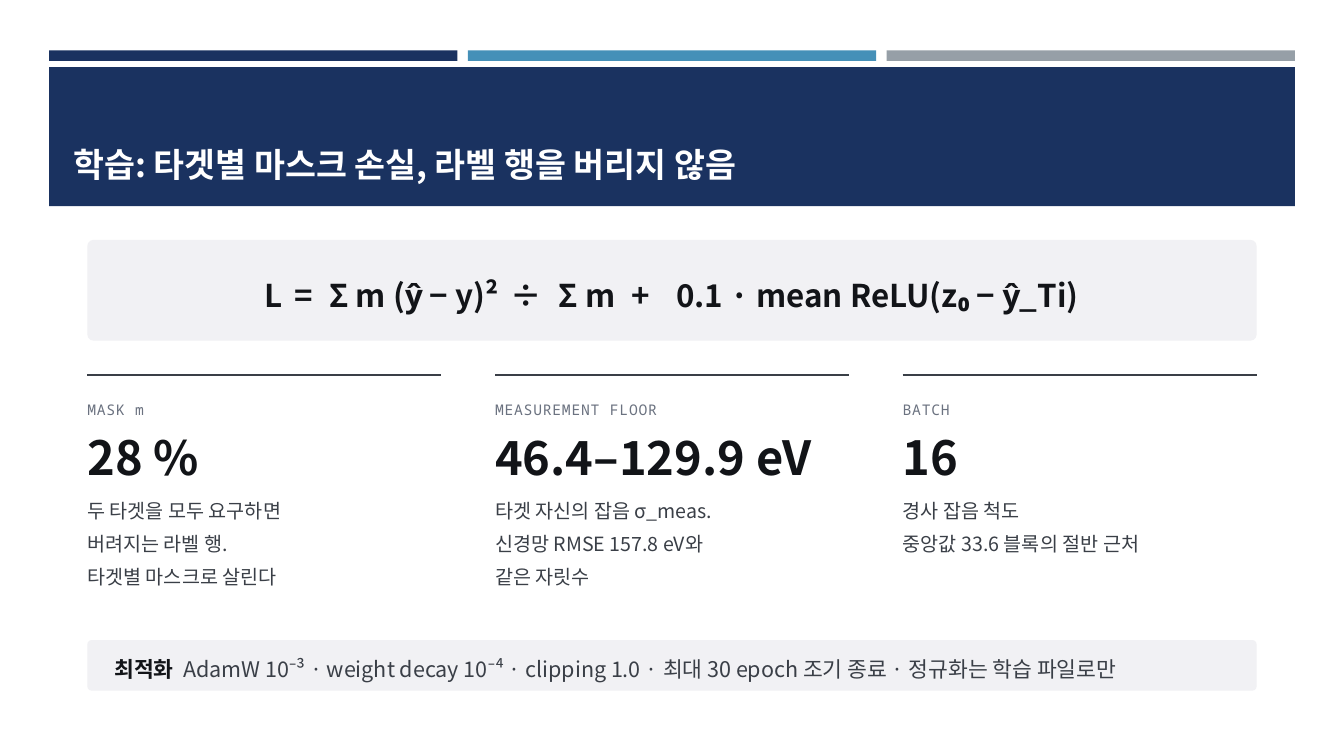
from lxml.etree import SubElement
from pptx import Presentation
from pptx.dml.color import RGBColor
from pptx.enum.shapes import MSO_CONNECTOR, MSO_SHAPE
from pptx.enum.text import MSO_ANCHOR, PP_ALIGN
from pptx.oxml.ns import qn
from pptx.util import Inches, Pt

SLIDE_W, SLIDE_H = Inches(13.333), Inches(7.5)
SANS, MONO = "Noto Sans CJK KR", "Noto Sans Mono"
NAVY, BLUE, GRAY, WHITE = "1A3260", "4590B8", "969FA7", "FFFFFF"
INK, BODY, MUTED, PANEL = "121418", "3A3F47", "6B7280", "F1F1F4"

HEADER_LEFT, HEADER_WIDTH, HEADER_GAP = 3.65, 92.7, 0.78
CONTENT_LEFT, CONTENT_WIDTH, CONTENT_GAP = 6.5, 87, 4

FORMULA = [
    ("L", 0), (" = ", 3.3), ("Σ m (ŷ − y)²", 0), (" ÷ ", 3.3), ("Σ m", 0),
    (" + ", 6.7), ("0.1 · mean ReLU(z₀ − ŷ_Ti)", 0),
]
FACTS = [
    ("MASK m", "28 %",
     ["두 타겟을 모두 요구하면", "버려지는 라벨 행.", "타겟별 마스크로 살린다"]),
    ("MEASUREMENT FLOOR", "46.4–129.9 eV",
     ["타겟 자신의 잡음 σ_meas.", "신경망 RMSE 157.8 eV와", "같은 자릿수"]),
    ("BATCH", "16", ["경사 잡음 척도", "중앙값 33.6 블록의 절반 근처"]),
]
OPTIMIZER = ("AdamW 10⁻³ · weight decay 10⁻⁴ · clipping 1.0 · "
             "최대 30 epoch 조기 종료 · 정규화는 학습 파일로만")


def color(hex_string):
    return RGBColor.from_string(hex_string)


def across(share):
    return round(SLIDE_W * share / 100)


def down(share):
    return round(SLIDE_H * share / 100)


def place(left, top, width, height):
    return across(left), down(top), across(width), down(height)


def thirds(left, width, gap):
    column = (width - 2 * gap) / 3
    return [(left + i * (column + gap), column) for i in range(3)]


def style_run(run, size, fill, bold=False, face=SANS, spacing=0):
    run.font.size = Pt(size)
    run.font.bold = bold
    run.font.color.rgb = color(fill)
    run.font.name = face
    properties = run.font._element
    SubElement(properties, qn("a:ea")).set("typeface", face)
    if spacing:
        properties.set("spc", str(round(spacing * 100)))


def add_block(slide, area, fill, corner=None):
    kind = MSO_SHAPE.RECTANGLE if corner is None else MSO_SHAPE.ROUNDED_RECTANGLE
    block = slide.shapes.add_shape(kind, *place(*area))
    if corner is not None:
        block.adjustments[0] = corner
    block.shadow.inherit = False
    block.fill.solid()
    block.fill.fore_color.rgb = color(fill)
    block.line.fill.background()


def add_frame(slide, area, anchor=MSO_ANCHOR.TOP, inset=(0, 0)):
    frame = slide.shapes.add_textbox(*place(*area)).text_frame
    frame.word_wrap = True
    frame.vertical_anchor = anchor
    frame.margin_left = frame.margin_right = Inches(inset[0])
    frame.margin_top = frame.margin_bottom = Inches(inset[1])
    return frame


def write_lines(frame, lines, leading=1.0, **style):
    frame.text = "\n".join(lines)
    for paragraph in frame.paragraphs:
        paragraph.line_spacing = leading
        for run in paragraph.runs:
            style_run(run, **style)


def write_spans(frame, spans, align=PP_ALIGN.LEFT):
    paragraph = frame.paragraphs[0]
    paragraph.alignment = align
    paragraph.line_spacing = 1.25
    for words, style in spans:
        run = paragraph.add_run()
        run.text = words
        style_run(run, **style)


def add_rule(slide, left, top, width):
    rule = slide.shapes.add_connector(
        MSO_CONNECTOR.STRAIGHT, across(left), down(top), across(left + width), down(top))
    rule.line.color.rgb = color(BODY)
    rule.line.width = Pt(1.25)
    SubElement(rule._element.spPr, qn("a:effectLst"))


def add_header(slide, title):
    bars = thirds(HEADER_LEFT, HEADER_WIDTH, HEADER_GAP)
    for (left, width), fill in zip(bars, [NAVY, BLUE, GRAY]):
        add_block(slide, (left, 6.67, width, 1.4), fill)
    add_block(slide, (HEADER_LEFT, 8.87, HEADER_WIDTH, 18.4), NAVY)
    frame = add_frame(slide, (4.73, 10.67, 90.45, 14.4), MSO_ANCHOR.BOTTOM, (0.1, 0.05))
    write_lines(frame, [title], size=24, fill=WHITE, bold=True)


def add_formula(slide):
    area = (CONTENT_LEFT, 31.73, CONTENT_WIDTH, 13.33)
    add_block(slide, area, PANEL, 0.06)
    spans = [(words, dict(size=22.4, fill=INK, bold=True, spacing=spacing))
             for words, spacing in FORMULA]
    write_spans(add_frame(slide, area, MSO_ANCHOR.MIDDLE), spans, PP_ALIGN.CENTER)


def add_fact(slide, left, width, label, value, details):
    add_rule(slide, left, 49.6, width)
    write_lines(add_frame(slide, (left, 52.4, width, 3.07)), [label], 1.25,
                size=10.5, fill=MUTED, face=MONO, spacing=0.6)
    write_lines(add_frame(slide, (left, 56.67, width, 11.6)), [value],
                size=33.6, fill=INK, bold=True)
    write_lines(add_frame(slide, (left, 64.8, width, 16)), details, 1.4,
                size=14, fill=BODY)


def add_optimizer(slide):
    top, height = 84.67, 6.67
    add_block(slide, (CONTENT_LEFT, top, CONTENT_WIDTH, height), PANEL, 0.08)
    frame = add_frame(slide, (8.5, top, 83, height), MSO_ANCHOR.MIDDLE)
    heading = dict(size=15.4, fill=INK, bold=True)
    write_spans(frame, [
        ("최적화", heading),
        (" ", dict(heading, spacing=3.4)),
        (OPTIMIZER, dict(size=15.4, fill=BODY)),
    ])


def main():
    presentation = Presentation()
    presentation.slide_width, presentation.slide_height = SLIDE_W, SLIDE_H
    slide = presentation.slides.add_slide(presentation.slide_layouts[6])
    add_header(slide, "학습: 타겟별 마스크 손실, 라벨 행을 버리지 않음")
    add_formula(slide)
    columns = thirds(CONTENT_LEFT, CONTENT_WIDTH, CONTENT_GAP)
    for (left, width), fact in zip(columns, FACTS):
        add_fact(slide, left, width, *fact)
    add_optimizer(slide)
    presentation.save("out.pptx")


if __name__ == "__main__":
    main()
